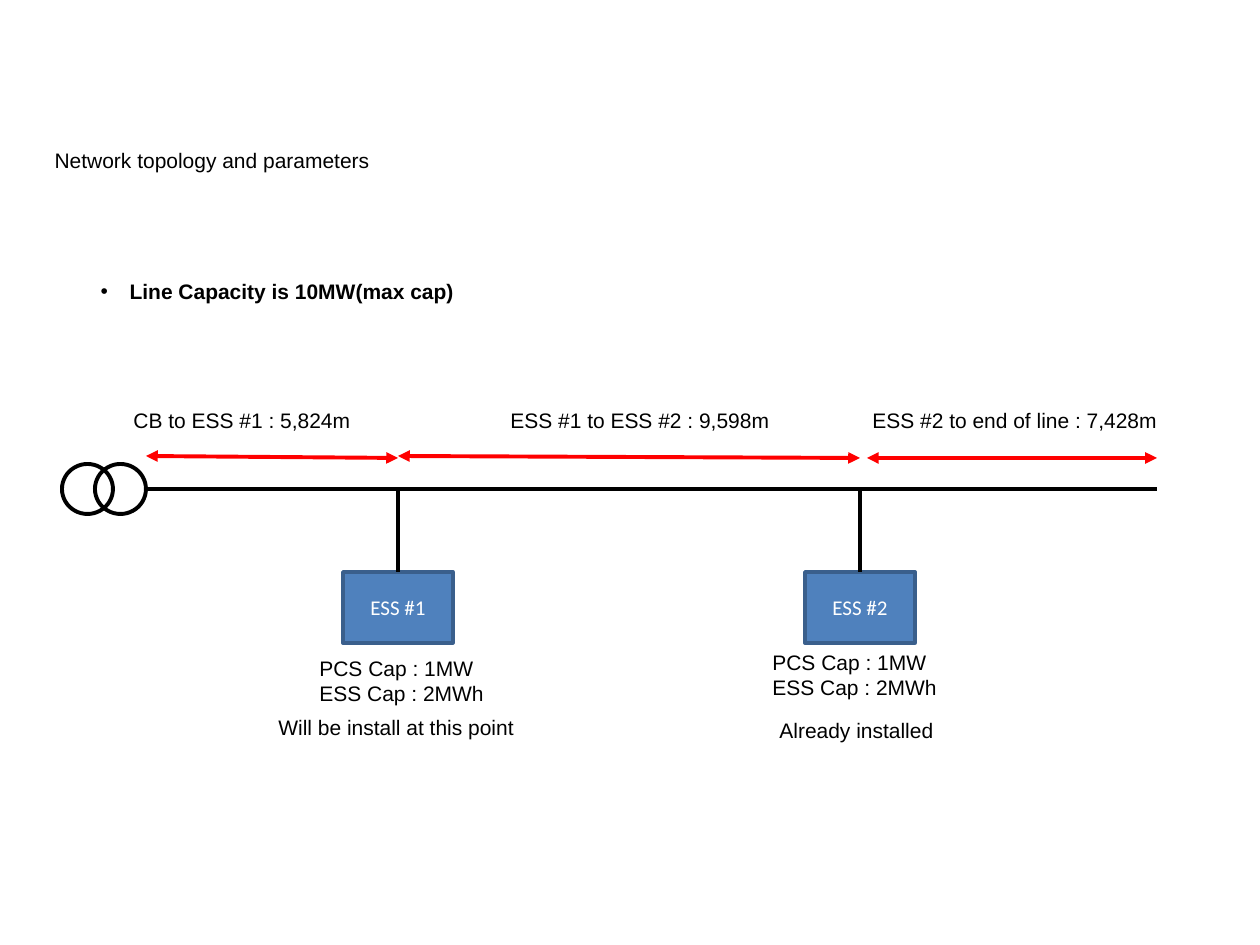
from lxml import etree
from pptx import Presentation
from pptx.dml.color import RGBColor
from pptx.enum.shapes import MSO_CONNECTOR, MSO_SHAPE
from pptx.enum.text import MSO_ANCHOR, MSO_AUTO_SIZE, PP_ALIGN
from pptx.oxml.ns import qn
from pptx.util import Emu, Pt

BLACK = RGBColor(0, 0, 0)
WHITE = RGBColor(255, 255, 255)
RED = RGBColor(255, 0, 0)
BLUE = RGBColor(0x4F, 0x81, 0xBD)
DARK_BLUE = RGBColor(0x3A, 0x5F, 0x8C)

LINE_Y = 489
LINE_START, ESS_1_X, ESS_2_X, LINE_END = 146, 398, 860, 1157
BOX_TOP, BOX_WIDTH, BOX_HEIGHT = 572, 110, 71


def px(value):
    return Emu(round(value * 914400 / 126))


def place(shape, left, top, width, height):
    shape.left, shape.top = px(left), px(top)
    shape.width, shape.height = px(width), px(height)


def write(shape, lines, bold=False, wrap=False):
    """Fill a shape with left-aligned 12 pt Arial lines, starting at its top."""
    frame = shape.text_frame
    frame.text = "\n".join(lines)
    frame.word_wrap = wrap
    frame.auto_size = MSO_AUTO_SIZE.SHAPE_TO_FIT_TEXT
    frame.vertical_anchor = MSO_ANCHOR.TOP
    for paragraph in frame.paragraphs:
        paragraph.alignment = PP_ALIGN.LEFT
        paragraph.space_before = Pt(0)
        font = paragraph.font
        font.name, font.size, font.bold = "Arial", Pt(12), bold
        font.color.rgb = BLACK


def add_label(slide, left, top, width, *lines):
    height = 38 if len(lines) == 1 else 63
    label = slide.shapes.add_textbox(px(left), px(top), px(width), px(height))
    write(label, lines)


def add_line(slide, start, end, color=BLACK, arrows=False):
    line = slide.shapes.add_connector(
        MSO_CONNECTOR.STRAIGHT, *(px(value) for value in start + end))
    line.line.color.rgb = color
    line.line.width = Pt(2.25)
    properties = line._element.spPr
    if arrows:
        outline = properties.find(qn("a:ln"))
        for tag in ("a:headEnd", "a:tailEnd"):
            etree.SubElement(outline, qn(tag), type="triangle")
    etree.SubElement(properties, qn("a:effectLst"))
    return line


def add_transformer(slide):
    for left in (62, 95):
        circle = slide.shapes.add_shape(
            MSO_SHAPE.FLOWCHART_CONNECTOR, px(left), px(464), px(51), px(50))
        circle.shadow.inherit = False
        circle.fill.background()
        circle.line.color.rgb = BLACK
        circle.line.width = Pt(2.25)


def add_storage(slide, name, center):
    """Add a storage box and the branch that joins it to the main line."""
    box = slide.shapes.add_shape(
        MSO_SHAPE.RECTANGLE, px(center - BOX_WIDTH / 2), px(BOX_TOP),
        px(BOX_WIDTH), px(BOX_HEIGHT))
    box.shadow.inherit = False
    box.fill.solid()
    box.fill.fore_color.rgb = BLUE
    box.line.color.rgb = DARK_BLUE
    box.line.width = Pt(2)
    box.text_frame.text = name
    box.text_frame.vertical_anchor = MSO_ANCHOR.MIDDLE
    paragraph = box.text_frame.paragraphs[0]
    paragraph.alignment = PP_ALIGN.CENTER
    paragraph.font.name, paragraph.font.size = "Calibri", Pt(12)
    paragraph.font.color.rgb = WHITE
    branch = add_line(slide, (center, LINE_Y), (center, BOX_TOP))
    branch.end_connect(box, 0)


def add_title_and_list(slide):
    title, body = slide.placeholders
    place(title, 42, 141, 481, 38)
    write(title, ["Network topology and parameters"], wrap=True)
    place(body, 88, 272, 383, 38)
    write(body, ["Line Capacity is 10MW(max cap)"], bold=True)
    properties = body.text_frame.paragraphs[0]._p.get_or_add_pPr()
    properties.set("marL", str(px(29)))
    properties.set("indent", str(-px(29)))


def main():
    presentation = Presentation()
    presentation.slide_width, presentation.slide_height = px(1260), px(945)
    slide = presentation.slides.add_slide(presentation.slide_layouts[1])

    add_title_and_list(slide)
    add_transformer(slide)
    add_line(slide, (LINE_START, LINE_Y), (LINE_END, LINE_Y))
    add_storage(slide, "ESS #1", ESS_1_X)
    add_storage(slide, "ESS #2", ESS_2_X)

    for start, end in (
        ((LINE_START, 456), (ESS_1_X, 458)),
        ((ESS_1_X, 456), (ESS_2_X, 458)),
        ((LINE_END, 458), (867, 458)),
    ):
        add_line(slide, start, end, RED, arrows=True)

    capacities = ("PCS Cap : 1MW", "ESS Cap : 2MWh")
    for left, top, width, *lines in (
        (121, 401, 244, "CB to ESS #1 : 5,824m"),
        (498, 401, 287, "ESS #1 to ESS #2 : 9,598m"),
        (860, 401, 313, "ESS #2 to end of line : 7,428m"),
        (307, 649, 192, *capacities),
        (760, 643, 192, *capacities),
        (266, 708, 263, "Will be install at this point"),
        (767, 711, 180, "Already installed"),
    ):
        add_label(slide, left, top, width, *lines)

    presentation.save("out.pptx")


if __name__ == "__main__":
    main()
